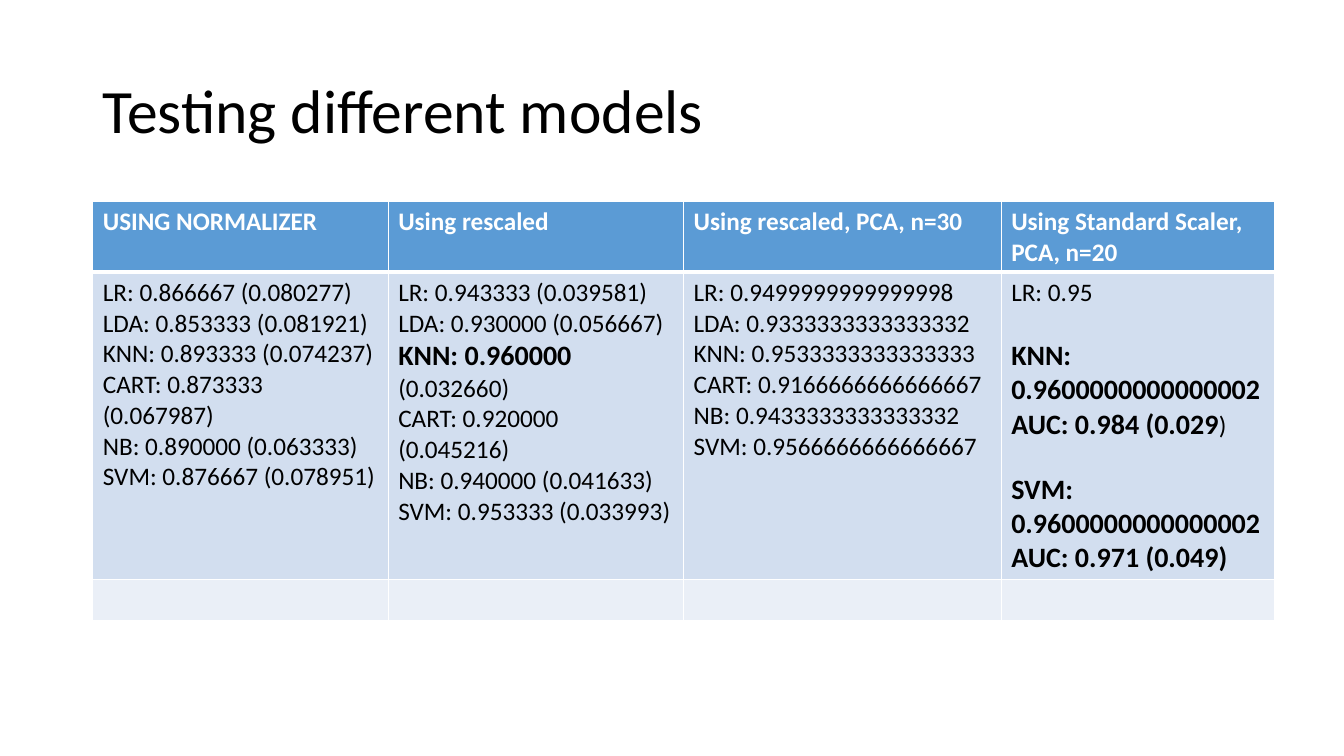
from typing import NamedTuple

from lxml.etree import SubElement
from pptx import Presentation
from pptx.dml.color import RGBColor
from pptx.enum.text import MSO_ANCHOR
from pptx.oxml.ns import qn
from pptx.slide import Slide
from pptx.table import _Cell
from pptx.text.text import _Paragraph
from pptx.util import Inches, Pt

FONT = "Calibri"
BLACK = RGBColor(0x00, 0x00, 0x00)
WHITE = RGBColor(0xFF, 0xFF, 0xFF)
HEADER_BLUE = RGBColor(0x5B, 0x9B, 0xD5)
RESULT_BLUE = RGBColor(0xD2, 0xDE, 0xEF)
EMPTY_BLUE = RGBColor(0xEA, 0xEF, 0xF7)
ROW_HEIGHTS = (0.7, 3.05, 0.41)
LINE_GAP = Pt(22)


class Span(NamedTuple):
    """A piece of text; the best scores are larger and bold."""
    text: str
    best: bool = False


class Score(NamedTuple):
    """One paragraph of results, optionally set apart from the one above."""
    spans: tuple[Span, ...]
    gap: bool = False


class Experiment(NamedTuple):
    """One table column: a preprocessing method and its scores."""
    heading: str
    width: float
    scores: tuple[Score, ...]


def plain(*lines: str) -> tuple[Score, ...]:
    """Make ordinary scores, one per line of text."""
    return tuple(Score((Span(line),)) for line in lines)


EXPERIMENTS = (
    Experiment("USING NORMALIZER ", 2.93, plain(
        "LR: 0.866667 (0.080277) LDA: 0.853333 (0.081921) KNN: 0.893333 (0.074237) ",
        "CART: 0.873333 (0.067987) ",
        "NB: 0.890000 (0.063333)",
        "SVM: 0.876667 (0.078951)")),
    Experiment("Using rescaled", 2.93, (
        Score((Span("LR: 0.943333 (0.039581) LDA: 0.930000 (0.056667) "),
               Span("KNN: 0.960000 ", best=True), Span("(0.032660) "))),
        *plain("CART: 0.920000 (0.045216) ",
               "NB: 0.940000 (0.041633)",
               "SVM: 0.953333 (0.033993)"))),
    Experiment("Using rescaled, PCA, n=30", 3.15, plain(
        "LR: 0.9499999999999998",
        "LDA: 0.9333333333333332",
        "KNN: 0.9533333333333333",
        "CART: 0.9166666666666667",
        "NB: 0.9433333333333332",
        "SVM: 0.9566666666666667")),
    Experiment("Using Standard Scaler, PCA, n=20", 2.71, (
        *plain("LR: 0.95"),
        Score((Span("KNN: 0.9600000000000002 AUC: 0.984 (0.029", best=True),
               Span(")")), gap=True),
        Score((Span("SVM: 0.9600000000000002 AUC: 0.971 (0.049)", best=True),),
              gap=True))),
)


def add_run(paragraph: _Paragraph, text: str, size: int, color: RGBColor,
            bold: bool = False) -> None:
    """Append a formatted run to a paragraph."""
    run = paragraph.add_run()
    run.text = text
    run.font.name = FONT
    run.font.size = Pt(size)
    run.font.bold = bold
    run.font.color.rgb = color


def style_cell(cell: _Cell, fill: RGBColor, top: int = 1, bottom: int = 1) -> None:
    """Give a cell white borders and a solid fill."""
    properties = cell._tc.get_or_add_tcPr()
    for side, points in (("L", 1), ("R", 1), ("T", top), ("B", bottom)):
        border = SubElement(properties, qn(f"a:ln{side}"), w=str(Pt(points)))
        solid = SubElement(border, qn("a:solidFill"))
        SubElement(solid, qn("a:srgbClr"), val=str(WHITE))
    cell.fill.solid()
    cell.fill.fore_color.rgb = fill


def write_scores(cell: _Cell, scores: tuple[Score, ...]) -> None:
    """Write one paragraph per score."""
    frame = cell.text_frame
    for index, score in enumerate(scores):
        paragraph = frame.add_paragraph() if index else frame.paragraphs[0]
        if score.gap:
            paragraph.space_before = LINE_GAP
        for span in score.spans:
            add_run(paragraph, span.text, 20 if span.best else 18, BLACK, span.best)


def add_title(slide: Slide, text: str) -> None:
    """Add the slide title."""
    title = slide.shapes.add_textbox(Inches(0.92), Inches(0.4),
                                     Inches(11.5), Inches(1.45))
    frame = title.text_frame
    frame.word_wrap = True
    frame.vertical_anchor = MSO_ANCHOR.MIDDLE
    frame.paragraphs[0].line_spacing = 0.9
    add_run(frame.paragraphs[0], text, 44, BLACK)


def add_results(slide: Slide) -> None:
    """Add the table of experiments, one per column."""
    total_width = sum(experiment.width for experiment in EXPERIMENTS)
    results = slide.shapes.add_table(
        len(ROW_HEIGHTS), len(EXPERIMENTS), Inches(0.92), Inches(2),
        Inches(total_width), Inches(sum(ROW_HEIGHTS))).table
    for row, height in zip(results.rows, ROW_HEIGHTS):
        row.height = Inches(height)
    for index, experiment in enumerate(EXPERIMENTS):
        results.columns[index].width = Inches(experiment.width)
        heading, scores, empty = (results.cell(row, index)
                                  for row in range(len(ROW_HEIGHTS)))
        style_cell(heading, HEADER_BLUE, bottom=3)
        style_cell(scores, RESULT_BLUE, top=3)
        style_cell(empty, EMPTY_BLUE)
        add_run(heading.text_frame.paragraphs[0], experiment.heading, 18, WHITE, True)
        write_scores(scores, experiment.scores)


def main() -> None:
    """Build and save the slide."""
    presentation = Presentation()
    presentation.slide_width = Inches(13.33)
    presentation.slide_height = Inches(7.5)
    slide = presentation.slides.add_slide(presentation.slide_layouts[6])
    add_title(slide, "Testing different models")
    add_results(slide)
    presentation.save("out.pptx")


main()
